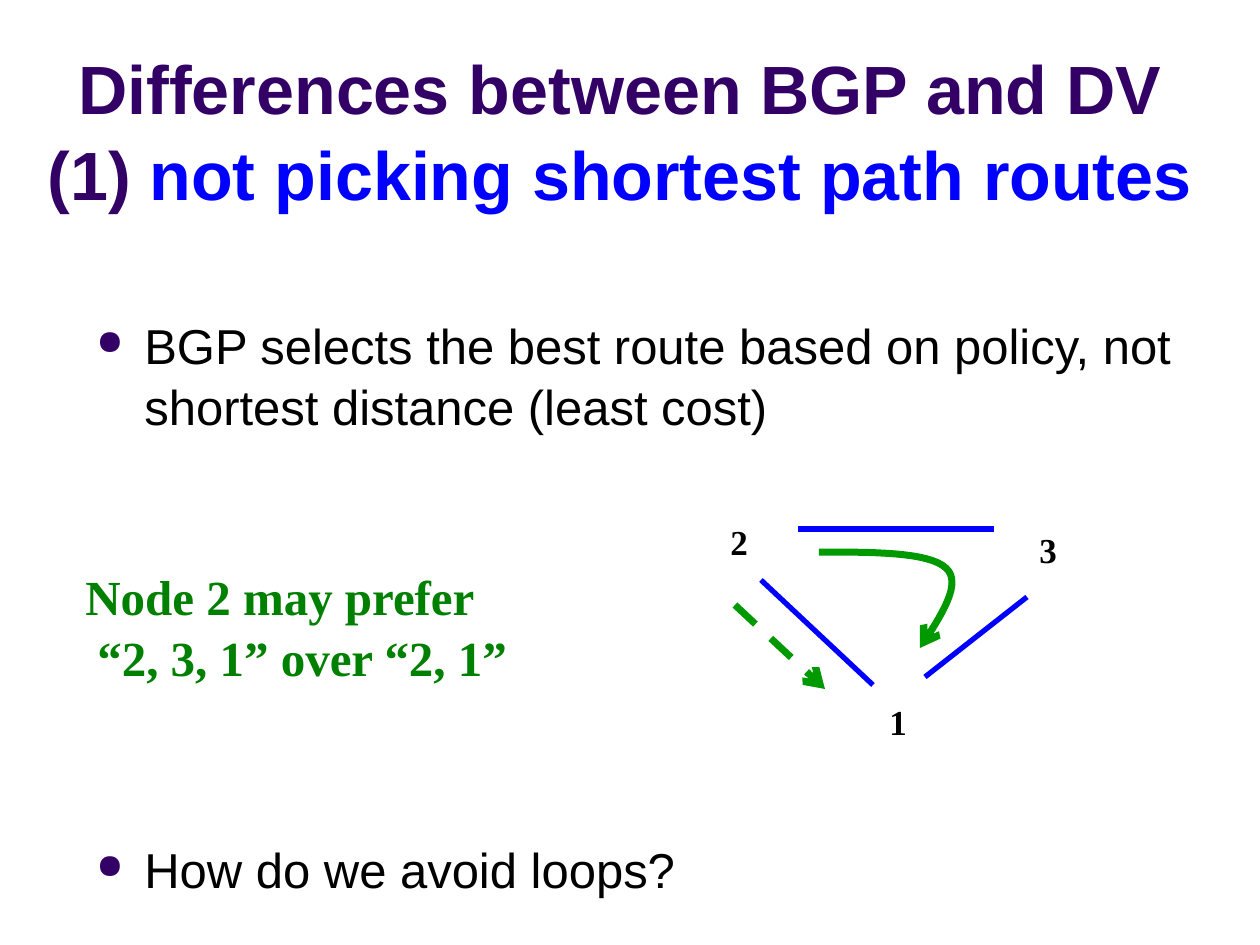
"""Slide on how BGP route choice differs from distance-vector routing."""
from lxml import etree
from pptx import Presentation
from pptx import util as u
from pptx.dml.color import RGBColor
from pptx.enum import dml, shapes, text
from pptx.oxml import ns

PX = 914400 / 126
PURPLE = RGBColor(0x33, 0x00, 0x66)
BLUE = RGBColor(0x00, 0x00, 0xFF)
BLACK = RGBColor(0x00, 0x00, 0x00)
ROUTE_GREEN = RGBColor(0x00, 0x99, 0x00)
NOTE_GREEN = RGBColor(0x00, 0x80, 0x00)


def px(*lengths):
    return [u.Emu(round(n * PX)) for n in lengths]


def add_run(p, words, color, **font):
    r = p.add_run()
    r.text = words
    r.font.color.rgb = color
    for name, value in font.items():
        setattr(r.font, name, value)


prs = Presentation()
prs.slide_width, prs.slide_height = u.Inches(10), u.Inches(7.5)
s = prs.slides.add_slide(prs.slide_layouts[5])

title = s.shapes.title
title.left, title.top, title.width, title.height = px(0, 59, 1240, 161)
tf = title.text_frame
tf.auto_size = text.MSO_AUTO_SIZE.NONE
tf.vertical_anchor = text.MSO_ANCHOR.BOTTOM
p = tf.paragraphs[0]
p.alignment = text.PP_ALIGN.CENTER
p.line_spacing = 1.05
heading = dict(name="Arial", size=u.Pt(39), bold=True)
add_run(p, "Differences between BGP and DV", PURPLE, **heading)
p.add_line_break()
add_run(p, "(1)", PURPLE, **heading)
add_run(p, " not picking shortest path routes", BLUE, **heading)

tf = s.shapes.add_textbox(*px(84, 306, 1164, 600)).text_frame
tf.word_wrap = True
bullets = [
    ("BGP selects the best route based on policy, not shortest distance (least cost)", 0),
    ("How do we avoid loops?", 229),
]
for i, (words, before) in enumerate(bullets):
    p = tf.add_paragraph() if i else tf.paragraphs[0]
    p.line_spacing = 1.05
    p.space_before = u.Pt(before)
    pPr = p._p.get_or_add_pPr()
    indent = px(48)[0]
    pPr.set("marL", str(indent))
    pPr.set("indent", str(-indent))
    color = etree.SubElement(pPr, ns.qn("a:buClr"))
    etree.SubElement(color, ns.qn("a:srgbClr"), val=str(PURPLE))
    etree.SubElement(pPr, ns.qn("a:buSzPct"), val="70000")
    etree.SubElement(pPr, ns.qn("a:buChar"), char="●")
    add_run(p, words, BLACK, name="Arial", size=u.Pt(28))

for node, x, y in [("2", 718, 514), ("3", 1027, 522), ("1", 877, 694)]:
    tf = s.shapes.add_textbox(*px(x, y, 43, 54)).text_frame
    tf.word_wrap = False
    add_run(tf.paragraphs[0], node, BLACK, name="Times New Roman", size=u.Pt(20), bold=True)

links = [
    ((798, 529, 994, 529), BLUE, 3),
    ((1027, 597, 925, 677), BLUE, 3),
    ((761, 580, 873, 685), BLUE, 3),
    ((735, 605, 825, 689), ROUTE_GREEN, 4),
]
for ends, color, width in links:
    link = s.shapes.add_connector(shapes.MSO_CONNECTOR.STRAIGHT, *px(*ends))
    link.line.color.rgb = color
    link.line.width = u.Pt(width)
    etree.SubElement(link.element.spPr, ns.qn("a:effectLst"))
direct_route = link
direct_route.line.dash_style = dml.MSO_LINE.DASH

curves = [
    ((819, 552), (873, 552), (929, 552), (946, 568)),
    ((946, 568), (963, 583), (941, 616), (920, 648)),
]
STEPS = 16
points = []
for a, b, c, d in curves:
    for t in (n / STEPS for n in range(1, STEPS + 1)):
        weights = ((1 - t) ** 3, 3 * t * (1 - t) ** 2, 3 * t * t * (1 - t), t ** 3)
        points.append([sum(w * q[k] for w, q in zip(weights, (a, b, c, d))) * PX for k in (0, 1)])
builder = s.shapes.build_freeform(*px(*curves[0][0]))
builder.add_line_segments(points, close=False)
preferred_route = builder.convert_to_shape()
preferred_route.shadow.inherit = False
preferred_route.fill.background()
preferred_route.line.color.rgb = ROUTE_GREEN
preferred_route.line.width = u.Pt(4)

for route in (direct_route, preferred_route):
    ln = route.element.spPr.find(ns.qn("a:ln"))
    etree.SubElement(ln, ns.qn("a:tailEnd"), type="arrow")

tf = s.shapes.add_textbox(*px(73, 557, 514, 131)).text_frame
tf.word_wrap = True
for i, (words, margin) in enumerate([("Node 2 may prefer", 0), ("“2, 3, 1” over “2, 1”", 12)]):
    p = tf.add_paragraph() if i else tf.paragraphs[0]
    p.line_spacing = 1.05
    p._p.get_or_add_pPr().set("marL", str(px(margin)[0]))
    add_run(p, words, NOTE_GREEN, name="Times New Roman", size=u.Pt(28), bold=True)

prs.save("out.pptx")
